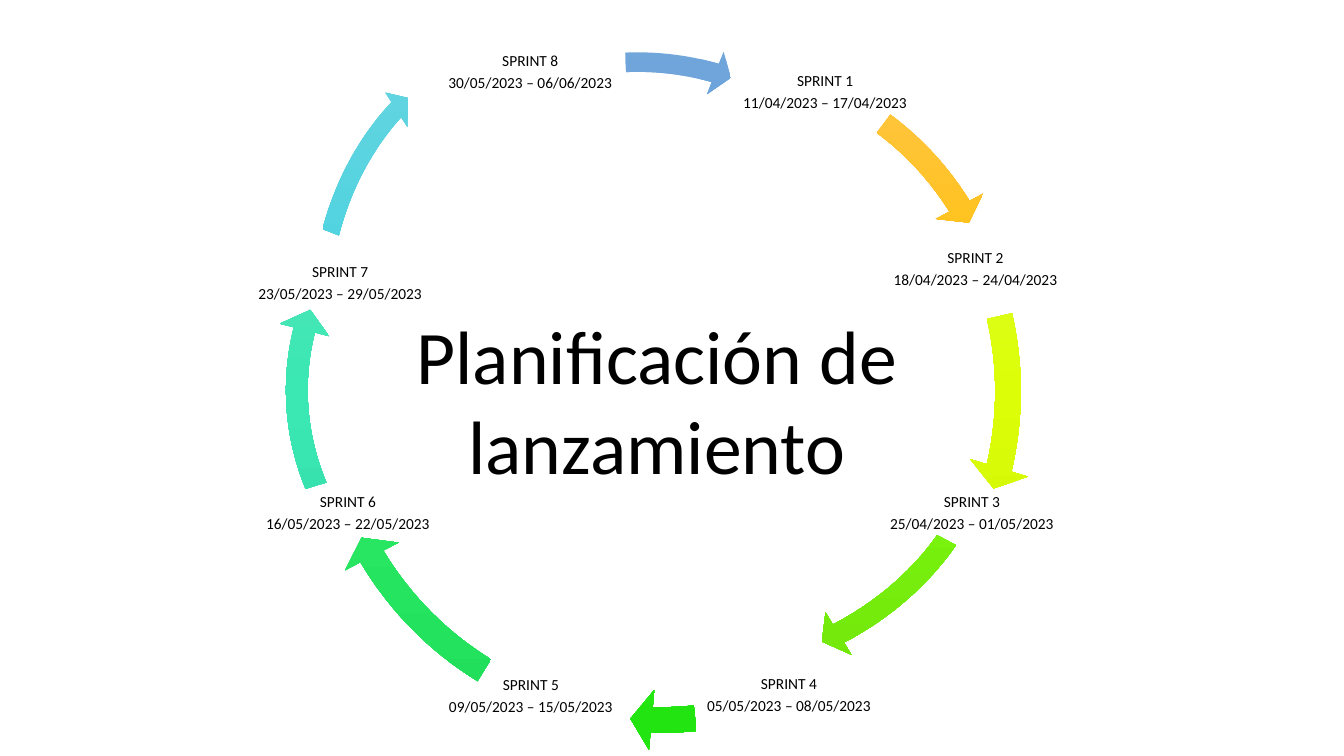
from copy import deepcopy
from typing import NamedTuple

from pptx import Presentation
from pptx.dml.color import RGBColor
from pptx.enum.shapes import MSO_SHAPE
from pptx.enum.text import MSO_ANCHOR, MSO_AUTO_SIZE, PP_ALIGN
from pptx.oxml.ns import qn
from pptx.util import Cm, Pt


class Box(NamedTuple):
    left: float
    top: float
    width: float
    height: float

    def inner(self, left, top, width, height):
        return Box(self.left + left, self.top + top, width, height)

    def lengths(self):
        return [Cm(value) for value in self]


class Sprint(NamedTuple):
    dates: str
    label: tuple
    arrow: tuple
    head_angle: float
    tail_angle: float
    color: str


FONT = "Calibri"
COLORS = {
    "text": "000000",
    "amber": ("FFC64B", "FFC000", "E3AB00"),
    "yellow": ("DCFC4C", "DCFF07", "C5E504"),
    "lime": ("8EF54F", "7FFC11", "71E50A"),
    "green": ("5BEF53", "31F420", "22E411"),
    "emerald": ("59E97E", "2EED69", "1FDD59"),
    "mint": ("61E4B9", "3BE7B3", "2CD6A2"),
    "cyan": ("69D4DF", "48D4E1", "38C3D0"),
    "blue": ("71A6DB", "559BDB", "448ACA"),
}
BAND_PERCENT = 3.5
HEAD_PERCENT = 4.1
HEAD_SWEEP = 3.62
ADJUSTMENT_PER_DEGREE = 0.6

CYCLE = Box(5.87, 0.46, 22.05, 18.6)
SPRINTS = [
    Sprint("11/04/2023 – 17/04/2023", (12.27, 1.3, 5.31, 1.14),
           (3.73, 0.51, 16.38, 16.38), 328.22, 306.56, "amber"),
    Sprint("18/04/2023 – 24/04/2023", (15.39, 5.26, 6.65, 2.16),
           (1.85, 0.18, 18.44, 18.44), 13.2, 347.08, "yellow"),
    Sprint("25/04/2023 – 01/05/2023", (15.82, 11.79, 5.61, 1.37),
           (2.36, 1.93, 17.42, 15.21), 54.94, 27.63, "lime"),
    Sprint("05/05/2023 – 08/05/2023", (11.46, 16.48, 5.11, 1.19),
           (1.55, 0, 18.44, 18.44), 91.47, 84.04, "green"),
    Sprint("09/05/2023 – 15/05/2023", (4.55, 16.48, 5.92, 1.22),
           (1.55, 0, 18.44, 18.44), 149.15, 121.6, "emerald"),
    Sprint("16/05/2023 – 22/05/2023", (0.64, 11.84, 4.52, 1.27),
           (0.97, 1.55, 18.03, 15.65), 190.53, 163.06, "mint"),
    Sprint("23/05/2023 – 29/05/2023", (0, 6.1, 5.41, 1.19),
           (1.68, 0.03, 12.52, 14.96), 233.72, 201.14, "cyan"),
    Sprint("30/05/2023 – 06/06/2023", (4.7, 0.74, 5.59, 1.27),
           (2.79, 0.53, 14.81, 14.07), 287.61, 267.37, "blue"),
]


def add_centred_run(paragraph, text, size):
    paragraph.alignment = PP_ALIGN.CENTER
    run = paragraph.add_run()
    run.text = text
    run.font.name = FONT
    run.font.size = Pt(size)
    run.font.color.rgb = RGBColor.from_string(COLORS["text"])


def draw_label(slide, box, lines):
    frame = slide.shapes.add_textbox(*box.lengths()).text_frame
    frame.word_wrap = True
    frame.vertical_anchor = MSO_ANCHOR.MIDDLE
    frame.margin_left = frame.margin_right = Cm(0.05)
    frame.margin_top = frame.margin_bottom = Cm(0.05)
    for index, line in enumerate(lines):
        paragraph = frame.add_paragraph() if index else frame.paragraphs[0]
        paragraph.line_spacing = 0.9
        paragraph.space_after = Pt(3.85)
        add_centred_run(paragraph, line, 11)


def fill_gradient(shape, shades):
    shape.fill.gradient()
    shape.fill.gradient_angle = 270
    stop_list = shape._element.spPr.find(qn("a:gradFill")).find(qn("a:gsLst"))
    stop_list.append(deepcopy(stop_list[0]))
    for index, (stop, shade) in enumerate(zip(shape.fill.gradient_stops, shades)):
        stop.position = index / 2
        stop.color.rgb = RGBColor.from_string(shade)


def draw_arrow(slide, box, head_angle, tail_angle, shades):
    arrow = slide.shapes.add_shape(MSO_SHAPE.CIRCULAR_ARROW, *box.lengths())
    arrow.shadow.inherit = False
    arrow.line.fill.background()
    fill_gradient(arrow, shades)
    angles = [angle * ADJUSTMENT_PER_DEGREE
              for angle in (HEAD_SWEEP, head_angle, tail_angle)]
    values = [BAND_PERCENT / 100, *angles, HEAD_PERCENT / 100]
    for index, value in enumerate(values):
        arrow.adjustments[index] = value


def draw_cycle(slide, box):
    for number, sprint in enumerate(SPRINTS, 1):
        draw_label(slide, box.inner(*sprint.label),
                   (f"SPRINT {number}", sprint.dates))
        draw_arrow(slide, box.inner(*sprint.arrow), sprint.head_angle,
                   sprint.tail_angle, COLORS[sprint.color])


def draw_title(slide, box):
    frame = slide.shapes.add_textbox(*box.lengths()).text_frame
    frame.word_wrap = True
    frame.auto_size = MSO_AUTO_SIZE.SHAPE_TO_FIT_TEXT
    add_centred_run(frame.paragraphs[0], "Planificación de lanzamiento", 54)


def main():
    presentation = Presentation()
    presentation.slide_width = Cm(33.87)
    presentation.slide_height = Cm(19.05)
    slide = presentation.slides.add_slide(presentation.slide_layouts[6])
    draw_cycle(slide, CYCLE)
    draw_title(slide, CYCLE.inner(2.72, 7.19, 15.93, 4.88))
    presentation.save("out.pptx")


if __name__ == "__main__":
    main()
